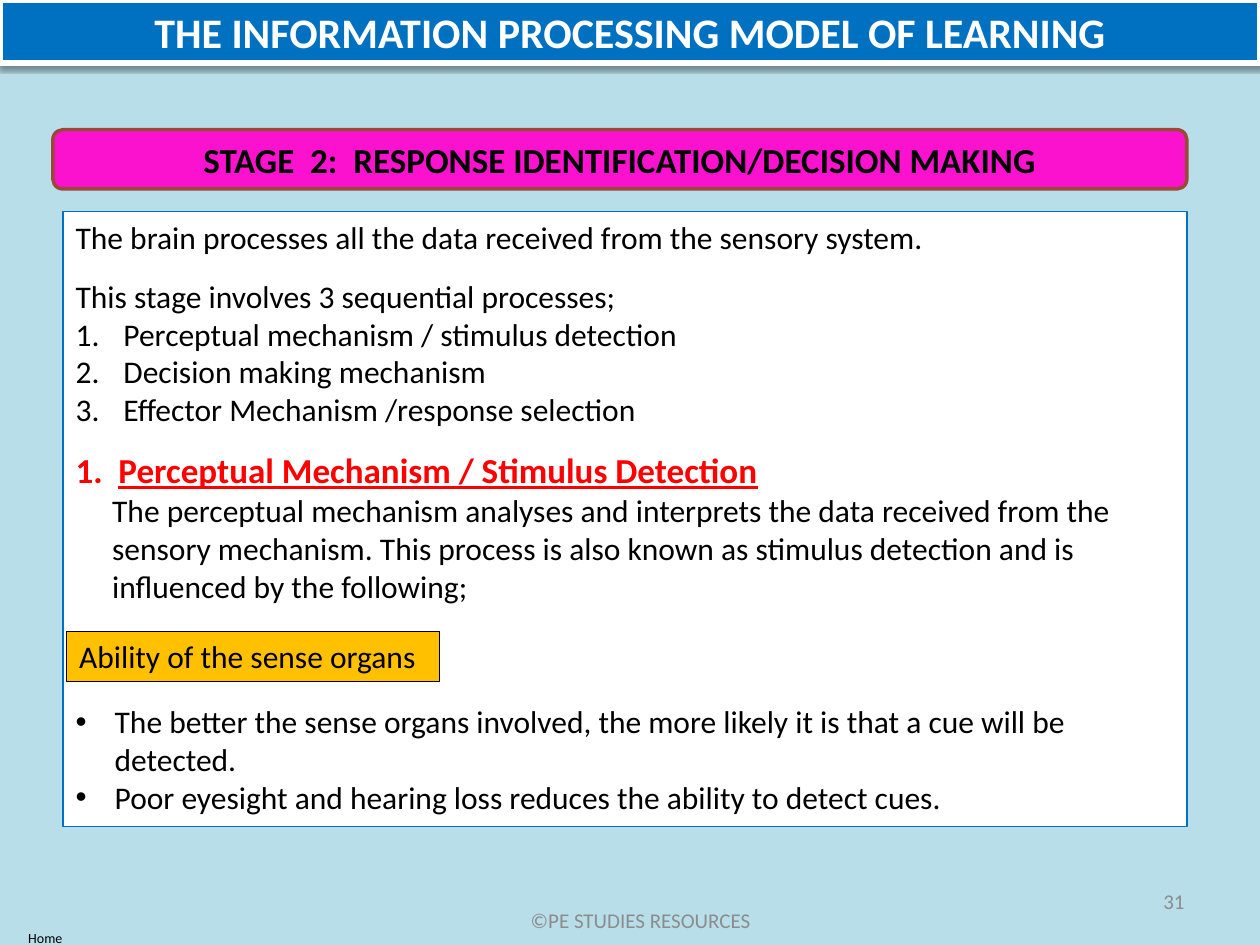
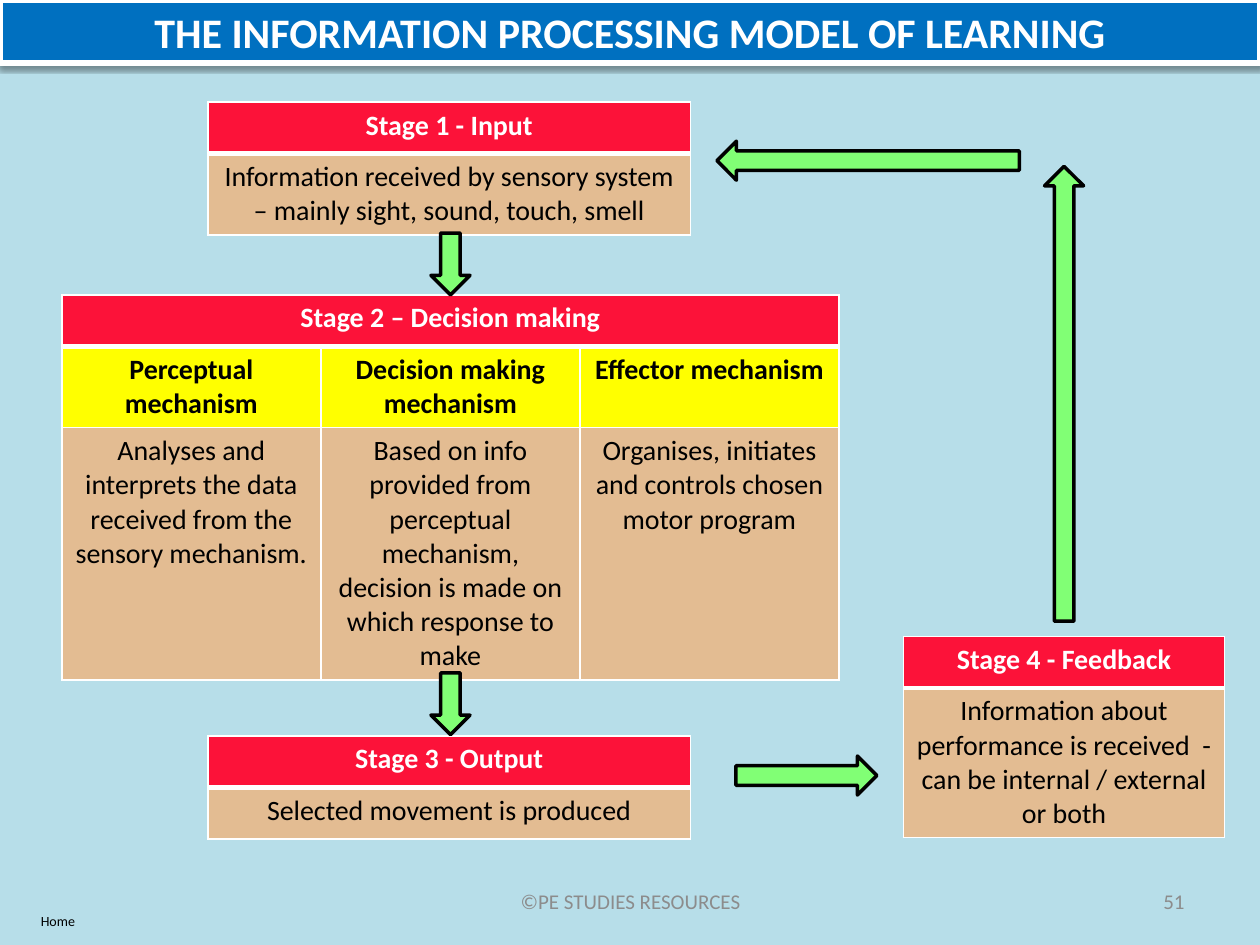
from collections import namedtuple
from dataclasses import dataclass

from lxml.etree import SubElement
from pptx import Presentation
from pptx.dml.color import RGBColor
from pptx.enum.shapes import MSO_SHAPE
from pptx.enum.text import MSO_ANCHOR, MSO_AUTO_SIZE, PP_ALIGN
from pptx.oxml.ns import qn
from pptx.util import Inches, Pt


@dataclass(frozen=True)
class Theme:
    """Colours, font and type sizes of the deck."""
    font: str = "Calibri"
    back: str = "B7DEE9"
    blue: str = "0070C0"
    white: str = "FFFFFF"
    black: str = "000000"
    grey: str = "8C8C8C"
    red: str = "FF0000"
    pink: str = "FA12CE"
    brown: str = "9B4936"
    gold: str = "FFC000"
    head: str = "FC1239"
    sand: str = "E3BC92"
    yellow: str = "FFFF00"
    green: str = "81FF75"
    title: int = 24
    stage: int = 20
    body: int = 18
    cell: int = 16
    foot: int = 12
    home: int = 8


T = Theme()
Box = namedtuple("Box", "left top width height")
Item = namedtuple("Item", "text indent mark before", defaults=(0, None, 0))

TITLE = "THE INFORMATION PROCESSING MODEL OF LEARNING"
NUMBER = ("buAutoNum", {"type": "arabicPeriod"})
BULLET = ("buChar", {"char": "•"})
INTRO = [
    Item("The brain processes all the data received from the sensory system."),
    Item("This stage involves 3 sequential processes;", before=12),
    Item("Perceptual mechanism / stimulus detection", 0.38, NUMBER),
    Item("Decision making mechanism", 0.38, NUMBER),
    Item("Effector Mechanism /response selection", 0.38, NUMBER),
]
TOPIC = "Perceptual Mechanism / Stimulus Detection"
DETAIL = [
    Item("The perceptual mechanism analyses and interprets the data received "
         "from the sensory mechanism. This process is also known as stimulus "
         "detection and is influenced by the following;", 0.29),
    Item("The better the sense organs involved, the more likely it is that "
         "a cue will be detected.", 0.31, BULLET, 56),
    Item("Poor eyesight and hearing loss reduces the ability to detect cues.",
         0.31, BULLET),
]
STAGES = [
    (Box(1.65, 0.81, 3.83, 1.04), [0.41, 0.63], [
        ["Stage 1 - Input"],
        ["Information received by sensory system – mainly sight, sound, "
         "touch, smell"]]),
    (Box(7.17, 5.05, 2.55, 1.57), [0.41, 1.16], [
        ["Stage 4 - Feedback"],
        ["Information about performance is received  - can be internal / "
         "external or both"]]),
    (Box(1.65, 5.84, 3.83, 0.82), [0.41, 0.41], [
        ["Stage 3 - Output"],
        ["Selected movement is produced"]]),
    (Box(0.49, 2.34, 6.17, 3.01), [0.41, 0.63, 1.97], [
        ["Stage 2 – Decision making", "", ""],
        ["Perceptual mechanism", "Decision making mechanism",
         "Effector mechanism"],
        ["Analyses and interprets the data received from the sensory "
         "mechanism.",
         "Based on info provided from perceptual mechanism, decision is made "
         "on which response to make",
         "Organises, initiates and controls chosen motor program"]]),
]
ARROWS = [
    (MSO_SHAPE.DOWN_ARROW, Box(3.42, 1.85, 0.31, 0.49)),
    (MSO_SHAPE.DOWN_ARROW, Box(3.42, 5.34, 0.31, 0.49)),
    (MSO_SHAPE.RIGHT_ARROW, Box(5.84, 6, 1.12, 0.31)),
    (MSO_SHAPE.UP_ARROW, Box(8.29, 1.32, 0.31, 3.61)),
    (MSO_SHAPE.LEFT_ARROW, Box(5.69, 1.12, 2.4, 0.31)),
]


def assign(target, values):
    """Set each named attribute on the target."""
    for name, value in values.items():
        setattr(target, name, value)


def place(shape, box):
    """Move and size a shape to a box in inches."""
    assign(shape, {name: Inches(size) for name, size in box._asdict().items()})


def style(font, size, color=T.black, bold=False, under=None):
    """Format a font."""
    assign(font, {"name": T.font, "size": Pt(size), "bold": bold,
                  "underline": under})
    font.color.rgb = RGBColor.from_string(color)


def paint(shape, fill, line, width):
    """Give a shape its fill and outline without a shadow."""
    shape.shadow.inherit = False
    shape.fill.solid()
    shape.fill.fore_color.rgb = RGBColor.from_string(fill)
    shape.line.color.rgb = RGBColor.from_string(line)
    shape.line.width = Pt(width)


def setup(frame, anchor, wrap=True):
    """Set wrapping, anchoring and fixed size of a text frame."""
    assign(frame, {"word_wrap": wrap, "auto_size": MSO_AUTO_SIZE.NONE,
                   "vertical_anchor": anchor})


def write(shape, text, size, align=PP_ALIGN.CENTER, wrap=True, **look):
    """Write one formatted line into a shape."""
    frame = shape.text_frame
    setup(frame, MSO_ANCHOR.MIDDLE, wrap)
    frame.text = text
    para = frame.paragraphs[0]
    para.alignment = align
    style(para.runs[0].font, size, **look)


def label(slide, box, text, size, align=PP_ALIGN.CENTER, color=T.grey):
    """Add a plain text box."""
    note = slide.shapes.add_textbox(*map(Inches, box))
    write(note, text, size, align, color=color)


def block(slide, kind, box, fill, line, width):
    """Add a painted preset shape."""
    shape = slide.shapes.add_shape(kind, *map(Inches, box))
    paint(shape, fill, line, width)
    return shape


def band(title):
    """Form the title placeholder into the shaded top band."""
    place(title, Box(0, 0, 10, 0.5))
    paint(title, T.blue, T.white, 3)
    write(title, TITLE, T.title, color=T.white, bold=True)
    effects = title._element.spPr.find(qn("a:effectLst"))
    shade = SubElement(effects, qn("a:outerShdw"), blurRad="39370",
                       dist="20320", dir="5400000", rotWithShape="0")
    tint = SubElement(shade, qn("a:srgbClr"), val=T.black)
    SubElement(tint, qn("a:alpha"), val="38000")


def start(deck, layout, page, foot, home):
    """Add a slide with its background, band, footer and page number."""
    slide = deck.slides.add_slide(deck.slide_layouts[layout])
    slide.background.fill.solid()
    slide.background.fill.fore_color.rgb = RGBColor.from_string(T.back)
    band(slide.shapes.title)
    label(slide, foot, "©PE STUDIES RESOURCES", T.foot)
    label(slide, Box(7.17, 6.95, 2.33, 0.4), page, T.foot, PP_ALIGN.RIGHT)
    label(slide, home, "Home", T.home, color=T.black)
    return slide


def line(frame, item, first=False):
    """Add a paragraph with its indent, mark and spacing."""
    para = frame.paragraphs[0] if first else frame.add_paragraph()
    props = para._p.get_or_add_pPr()
    hang = -item.indent if item.mark else 0
    props.set("marL", str(Inches(item.indent)))
    props.set("indent", str(Inches(hang)))
    assign(para, {"space_before": Pt(item.before), "space_after": Pt(0),
                  "alignment": PP_ALIGN.LEFT})
    tag, values = item.mark or ("buNone", {})
    SubElement(props, qn(f"a:{tag}"), values)
    if item.text:
        run = para.add_run()
        run.text = item.text
        style(run.font, T.body)
    return para


def panel(body, box):
    """Fill the body placeholder with the stage notes."""
    place(body, box)
    paint(body, T.white, T.blue, 0.75)
    frame = body.text_frame
    setup(frame, MSO_ANCHOR.TOP)
    for index, item in enumerate(INTRO):
        line(frame, item, index == 0)
    topic = line(frame, Item("", 0.34, before=12))
    topic._p.pPr.set("indent", str(Inches(-0.34)))
    for text, under in (("1.\t", False), (TOPIC, True)):
        run = topic.add_run()
        run.text = text
        style(run.font, T.stage, T.red, True, under)
    for item in DETAIL:
        line(frame, item)


def edge(cell, top, bottom):
    """Draw white borders around a cell."""
    props = cell._tc.get_or_add_tcPr()
    for side, width in zip("LRTB", (1, 1, top, bottom)):
        rule = SubElement(props, qn(f"a:ln{side}"), w=str(Pt(width)))
        fill = SubElement(rule, qn("a:solidFill"))
        SubElement(fill, qn("a:srgbClr"), val=T.white)


def grid(slide, box, heights, rows):
    """Add the table of one stage."""
    count = len(rows[0])
    frame = slide.shapes.add_table(len(rows), count, *map(Inches, box))
    table = frame.table
    assign(table, {"first_row": False, "horz_banding": False})
    for col in table.columns:
        col.width = Inches(box.width / count)
    for index, (height, texts) in enumerate(zip(heights, rows)):
        table.rows[index].height = Inches(height)
        last = index == len(rows) - 1
        fill = T.head if index == 0 else T.sand if last else T.yellow
        color = T.white if index == 0 else T.black
        for spot, text in enumerate(texts):
            cell = table.cell(index, spot)
            edge(cell, 3 if index == 1 else 1, 3 if index == 0 else 1)
            cell.fill.solid()
            cell.fill.fore_color.rgb = RGBColor.from_string(fill)
            para = cell.text_frame.paragraphs[0]
            para.alignment = PP_ALIGN.CENTER
            if text:
                run = para.add_run()
                run.text = text
                style(run.font, T.cell, color, not last)
    if count > 1:
        table.cell(0, 0).merge(table.cell(0, count - 1))


def notes(deck):
    """Build the slide on response identification."""
    slide = start(deck, 1, "31", Box(3.5, 7.1, 3.17, 0.4),
                  Box(-0.1, 7.32, 0.92, 0.24))
    panel(slide.placeholders[1], Box(0.5, 1.68, 8.92, 4.88))
    stage = block(slide, MSO_SHAPE.ROUNDED_RECTANGLE,
                  Box(0.42, 1.03, 9, 0.47), T.pink, T.brown, 2)
    write(stage, "STAGE  2:  RESPONSE IDENTIFICATION/DECISION MAKING",
          T.stage, bold=True)
    sense = block(slide, MSO_SHAPE.RECTANGLE, Box(0.53, 5.01, 2.96, 0.4),
                  T.gold, T.black, 0.75)
    write(sense, "Ability of the sense organs", T.body, PP_ALIGN.LEFT)


def model(deck):
    """Build the slide with the four linked stages."""
    slide = start(deck, 5, "51", Box(3.42, 6.95, 3.17, 0.4),
                  Box(0, 7.19, 0.92, 0.24))
    for stage in STAGES:
        grid(slide, *stage)
    for kind, box in ARROWS:
        block(slide, kind, box, T.green, T.black, 2)


def main():
    """Build and save the deck."""
    deck = Presentation()
    assign(deck, {"slide_width": Inches(10), "slide_height": Inches(7.5)})
    notes(deck)
    model(deck)
    deck.save("out.pptx")


if __name__ == "__main__":
    main()
